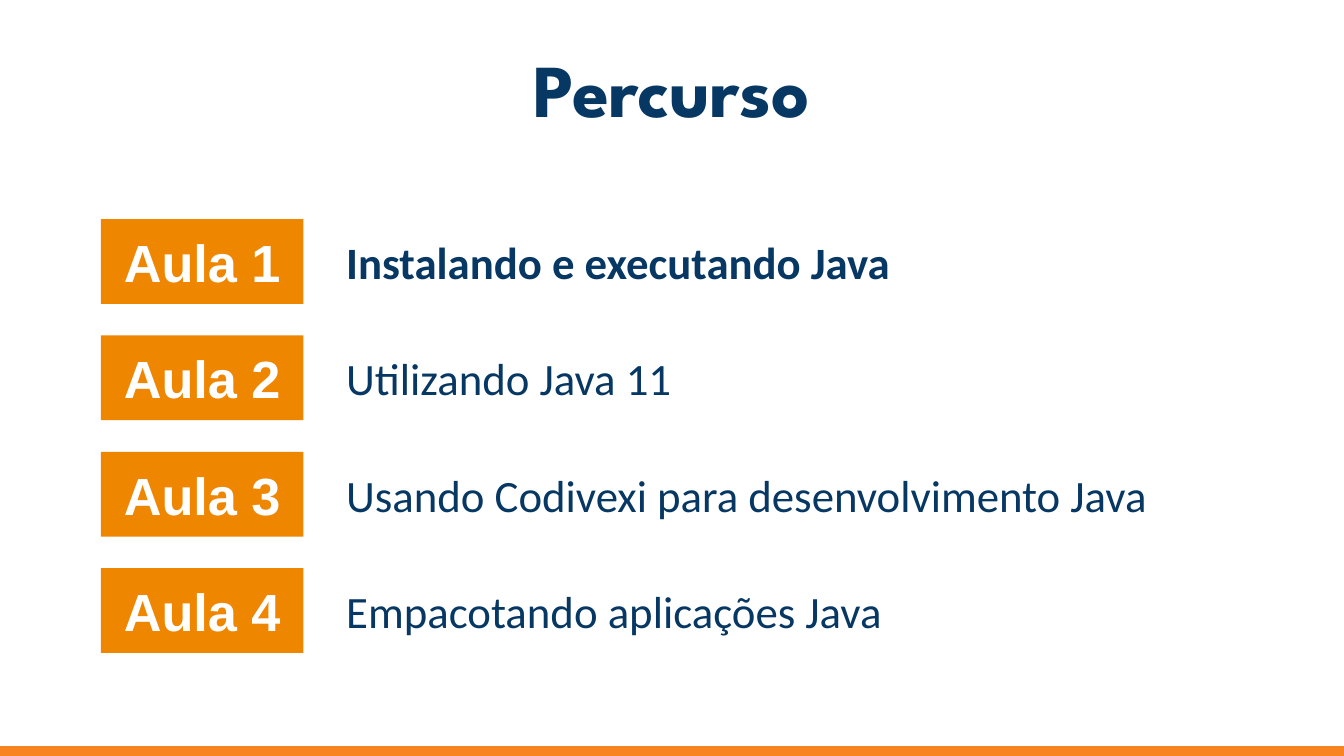
from pptx import Presentation
from pptx.dml.color import RGBColor
from pptx.enum.shapes import MSO_SHAPE as Shape
from pptx.enum.text import MSO_ANCHOR as Anchor, MSO_AUTO_SIZE as AutoSize, PP_ALIGN as Align
from pptx.util import Pt

COLORS = {"navy": "073763", "orange": "EF8600", "footer": "F78321", "white": "FFFFFF"}
LESSONS = [
    "Instalando e executando Java",
    "Utilizando Java 11",
    "Usando Codivexi para desenvolvimento Java",
    "Empacotando aplicações Java",
]


def color(name):
    """Return the palette colour called name."""
    return RGBColor.from_string(COLORS[name])


def write(shape, text, font_name, size, ink, bold=True, align=Align.CENTER, inset=7.2):
    """Put one formatted, vertically centred paragraph in a shape."""
    frame = shape.text_frame
    frame.word_wrap = True
    frame.auto_size = AutoSize.NONE
    frame.vertical_anchor = Anchor.MIDDLE
    frame.margin_left = frame.margin_right = Pt(7.2)
    frame.margin_top = frame.margin_bottom = Pt(inset)
    frame.text = text
    paragraph = frame.paragraphs[0]
    paragraph.alignment = align
    font = paragraph.font
    font.name, font.size, font.bold = font_name, Pt(size), bold
    font.color.rgb = color(ink)


def add_bar(slide, left, top, width, height, fill):
    """Add a flat rectangle without an outline."""
    bar = slide.shapes.add_shape(Shape.RECTANGLE, Pt(left), Pt(top), Pt(width), Pt(height))
    bar.shadow.inherit = False
    bar.fill.solid()
    bar.fill.fore_color.rgb = color(fill)
    bar.line.fill.background()
    return bar


def add_heading(slide, left, top, width, height):
    """Move the title placeholder to its box and fill it."""
    heading = slide.shapes.title
    heading.left, heading.top = Pt(left), Pt(top)
    heading.width, heading.height = Pt(width), Pt(height)
    write(heading, "Percurso", "League Spartan", 40, "navy")


def add_lessons(slide, left, top, width, height):
    """Spread the lesson rows evenly over the box, the first one current."""
    label_width, label_height, topic_offset, topic_height = 108.6, 45.4, 124.4, 36.4
    pitch = (height - label_height) / (len(LESSONS) - 1)
    for index, lesson in enumerate(LESSONS):
        row_top = top + index * pitch
        label = add_bar(slide, left, row_top, label_width, label_height, "orange")
        write(label, f"Aula {index + 1}", "Arial", 28, "white")
        topic = slide.shapes.add_textbox(
            Pt(left + topic_offset), Pt(row_top + (label_height - topic_height) / 2),
            Pt(width - topic_offset), Pt(topic_height))
        write(topic, lesson, "Calibri", 24, "navy", index == 0, Align.LEFT, 3.6)


def add_footer(slide, left, top, width, height):
    """Draw the outlined stripe along the bottom edge."""
    stripe = add_bar(slide, left, top, width, height, "footer")
    stripe.line.color.rgb = color("footer")
    stripe.line.width = Pt(0.75)


def main():
    """Build and save the course outline slide."""
    deck = Presentation()
    deck.slide_width, deck.slide_height = Pt(720), Pt(405)
    slide = deck.slides.add_slide(deck.slide_layouts[5])
    add_heading(slide, 24.5, 23.8, 671, 46.8)
    add_footer(slide, 0, 399.9, 720, 4.6)
    add_lessons(slide, 54, 117.4, 641.5, 232.4)
    deck.save("out.pptx")


if __name__ == "__main__":
    main()
